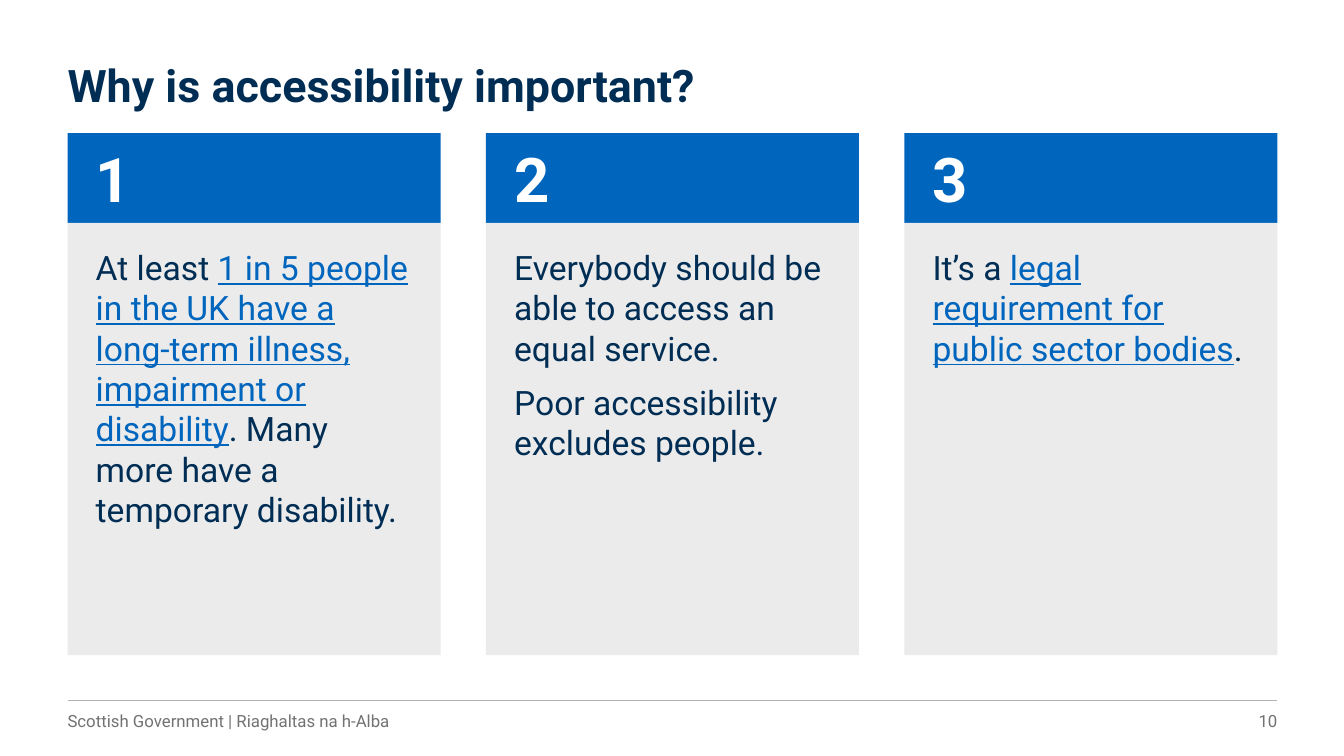
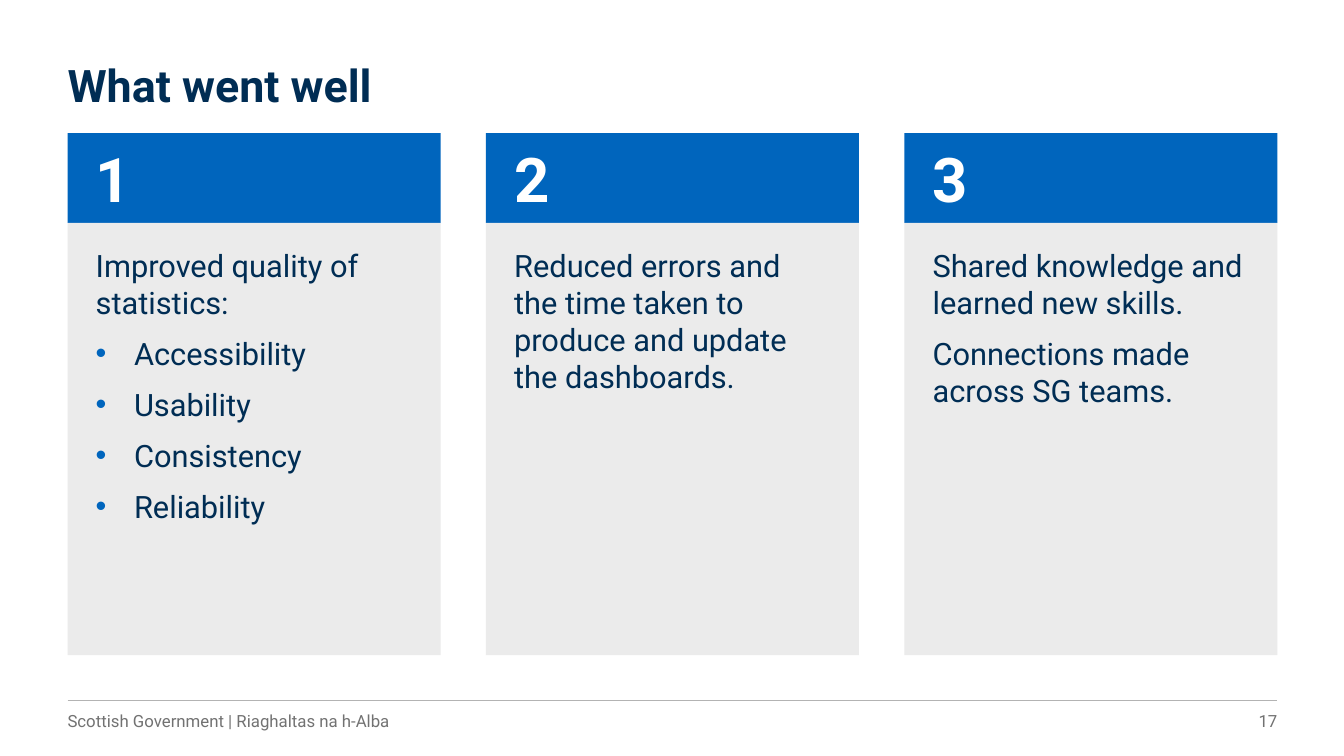
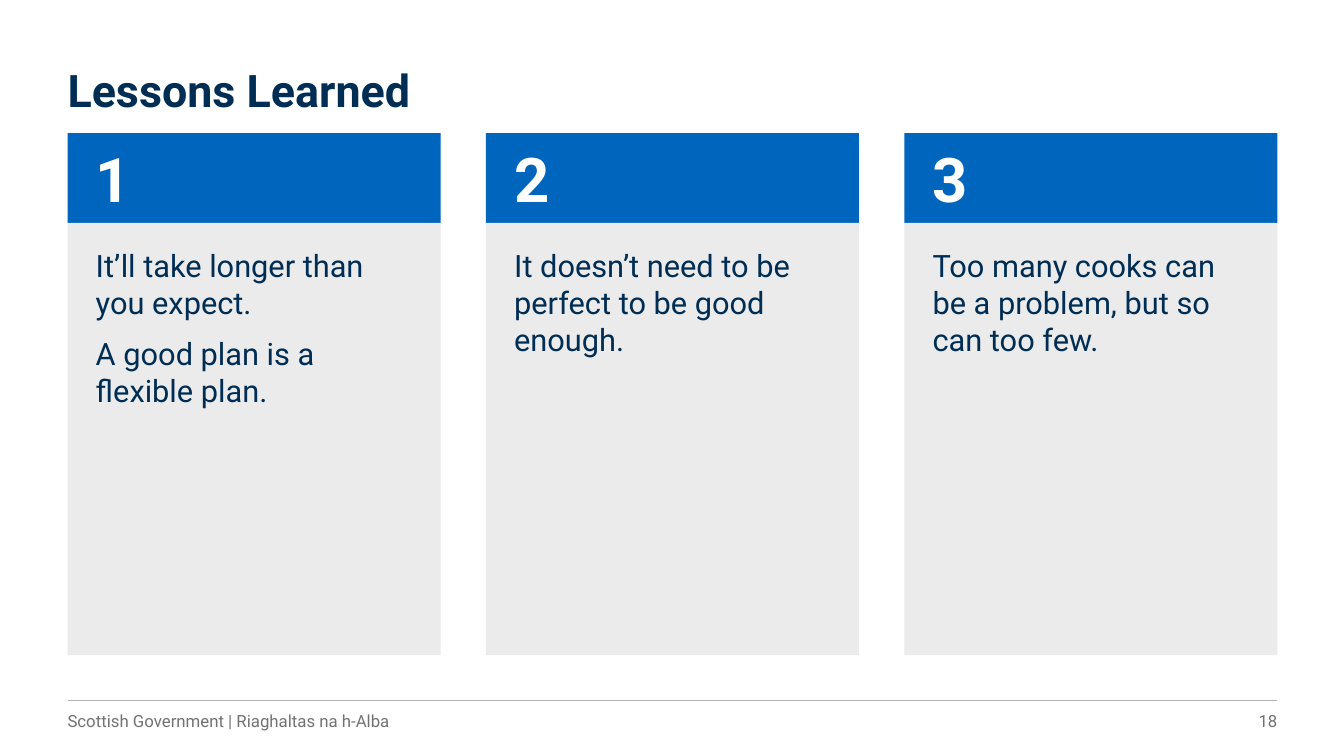
from lxml.etree import SubElement
from pptx import Presentation
from pptx.dml.color import RGBColor
from pptx.enum.shapes import MSO_CONNECTOR, MSO_SHAPE
from pptx.enum.text import MSO_ANCHOR as ANCHOR, PP_ALIGN as ALIGN
from pptx.oxml.ns import qn
from pptx.util import Inches, Pt

NAVY = RGBColor(0x00, 0x2D, 0x54)
BLUE = RGBColor(0x00, 0x65, 0xBD)
PALE = RGBColor(0xEB, 0xEB, 0xEB)
WHITE = RGBColor(0xFF, 0xFF, 0xFF)
RULE = RGBColor(0xB3, 0xB3, 0xB3)
GREY = RGBColor(0x72, 0x72, 0x72)

FONT = "Roboto"
FOOTER = "Scottish Government | Riaghaltas na h-Alba"
MARGIN, CONTENT_WIDTH = 0.67, 12
CARD_WIDTH, CARD_COUNT = 3.7, 3
CARD_STEP = (CONTENT_WIDTH - CARD_WIDTH) / (CARD_COUNT - 1)
BAND_TOP, BAND_HEIGHT, BODY_HEIGHT = 1.32, 0.89, 4.29
FOOTER_TOP = 6.95


def set_frame(shape, insets, anchor=ANCHOR.TOP):
    frame = shape.text_frame
    frame.word_wrap = True
    frame.vertical_anchor = anchor
    frame.margin_left, frame.margin_top, frame.margin_right, frame.margin_bottom = map(Inches, insets)
    return frame


def add_run(paragraph, text, size, color, bold=False, underline=False):
    run = paragraph.add_run()
    run.text = text
    run.font.name = FONT
    run.font.size = Pt(size)
    run.font.color.rgb = color
    run.font.bold = bold
    run.font.underline = underline


# Within a paragraph, every second run is styled as a link.
slides = [
    ("Why is accessibility important?", 0.63, 24, 10, [
        ([["At least ",
           "1 in 5 people in the UK have a long-term illness, impairment or disability",
           ". Many more have a temporary disability."]], []),
        ([["Everybody should be able to access an equal service."],
          ["Poor accessibility excludes people."]], []),
        ([["It’s a ", "legal requirement for public sector bodies", "."]], []),
    ]),
    ("What went well", 0.63, 22, 17, [
        ([["Improved quality of statistics:"]],
         [["Accessibility"], ["Usability"], ["Consistency"], ["Reliability"]]),
        ([["Reduced errors and the time taken to produce and update the dashboards."]], []),
        ([["Shared knowledge and learned new skills."],
          ["Connections made across SG teams."]], []),
    ]),
    ("Lessons Learned", 0.68, 22, 18, [
        ([["It’ll take longer than you expect."],
          ["A good plan is a flexible plan."]], []),
        ([["It doesn’t need to be perfect to be good enough."]], []),
        ([["Too many cooks can be a problem, but so can too few."]], []),
    ]),
]

deck = Presentation()
deck.slide_width = Inches(13.33)
deck.slide_height = Inches(7.5)

for title, title_top, body_size, number, cards in slides:
    slide = deck.slides.add_slide(deck.slide_layouts[6])
    shapes = slide.shapes

    footer_rule = shapes.add_connector(
        MSO_CONNECTOR.STRAIGHT, Inches(MARGIN), Inches(FOOTER_TOP),
        Inches(MARGIN + CONTENT_WIDTH), Inches(FOOTER_TOP))
    footer_rule.line.color.rgb = RULE
    footer_rule.line.width = Pt(0.75)
    SubElement(footer_rule._element.spPr, qn("a:effectLst"))

    heading = shapes.add_textbox(
        Inches(MARGIN), Inches(title_top), Inches(CONTENT_WIDTH), Inches(0.48))
    heading_line = set_frame(heading, (0, 0, 0, 0)).paragraphs[0]
    heading_line.line_spacing = 0.9
    add_run(heading_line, title, 32, NAVY, bold=True)

    for index, (paragraphs, bullets) in enumerate(cards):
        left = Inches(MARGIN + index * CARD_STEP)
        band = shapes.add_shape(
            MSO_SHAPE.RECTANGLE, left, Inches(BAND_TOP), Inches(CARD_WIDTH), Inches(BAND_HEIGHT))
        body = shapes.add_shape(
            MSO_SHAPE.RECTANGLE, left, Inches(BAND_TOP + BAND_HEIGHT),
            Inches(CARD_WIDTH), Inches(BODY_HEIGHT))
        for panel, fill in ((band, BLUE), (body, PALE)):
            panel.shadow.inherit = False
            panel.fill.solid()
            panel.fill.fore_color.rgb = fill
            panel.line.fill.background()

        band_line = set_frame(band, (0.28, 0, 0, 0), ANCHOR.MIDDLE).paragraphs[0]
        band_line.alignment = ALIGN.LEFT
        add_run(band_line, str(index + 1), 44, WHITE, bold=True)

        body_frame = set_frame(body, (0.28, 0.24, 0.28, 0))
        for row, runs in enumerate(paragraphs + bullets):
            paragraph = body_frame.add_paragraph() if row else body_frame.paragraphs[0]
            paragraph.alignment = ALIGN.LEFT
            if row:
                paragraph.space_before = Pt(10)
            if row >= len(paragraphs):
                properties = paragraph._p.get_or_add_pPr()
                properties.set("marL", str(Inches(0.38)))
                properties.set("indent", str(-Inches(0.38)))
                bullet_color = SubElement(properties, qn("a:buClr"))
                SubElement(bullet_color, qn("a:srgbClr"), val=str(BLUE))
                SubElement(properties, qn("a:buFont"), typeface="Arial")
                SubElement(properties, qn("a:buChar"), char="•")
            for position, text in enumerate(runs):
                is_link = position % 2 == 1
                add_run(paragraph, text, body_size, BLUE if is_link else NAVY, underline=is_link)

    for text, left, width, insets, alignment in (
        (FOOTER, MARGIN, 9.93, (0, 0.05, 0.1, 0.05), ALIGN.LEFT),
        (str(number), 11.04, 1.63, (0.1, 0.05, 0, 0.05), ALIGN.RIGHT),
    ):
        footer = shapes.add_textbox(Inches(left), Inches(FOOTER_TOP), Inches(width), Inches(0.4))
        footer_line = set_frame(footer, insets, ANCHOR.MIDDLE).paragraphs[0]
        footer_line.alignment = alignment
        add_run(footer_line, text, 12, GREY)

deck.save("out.pptx")
